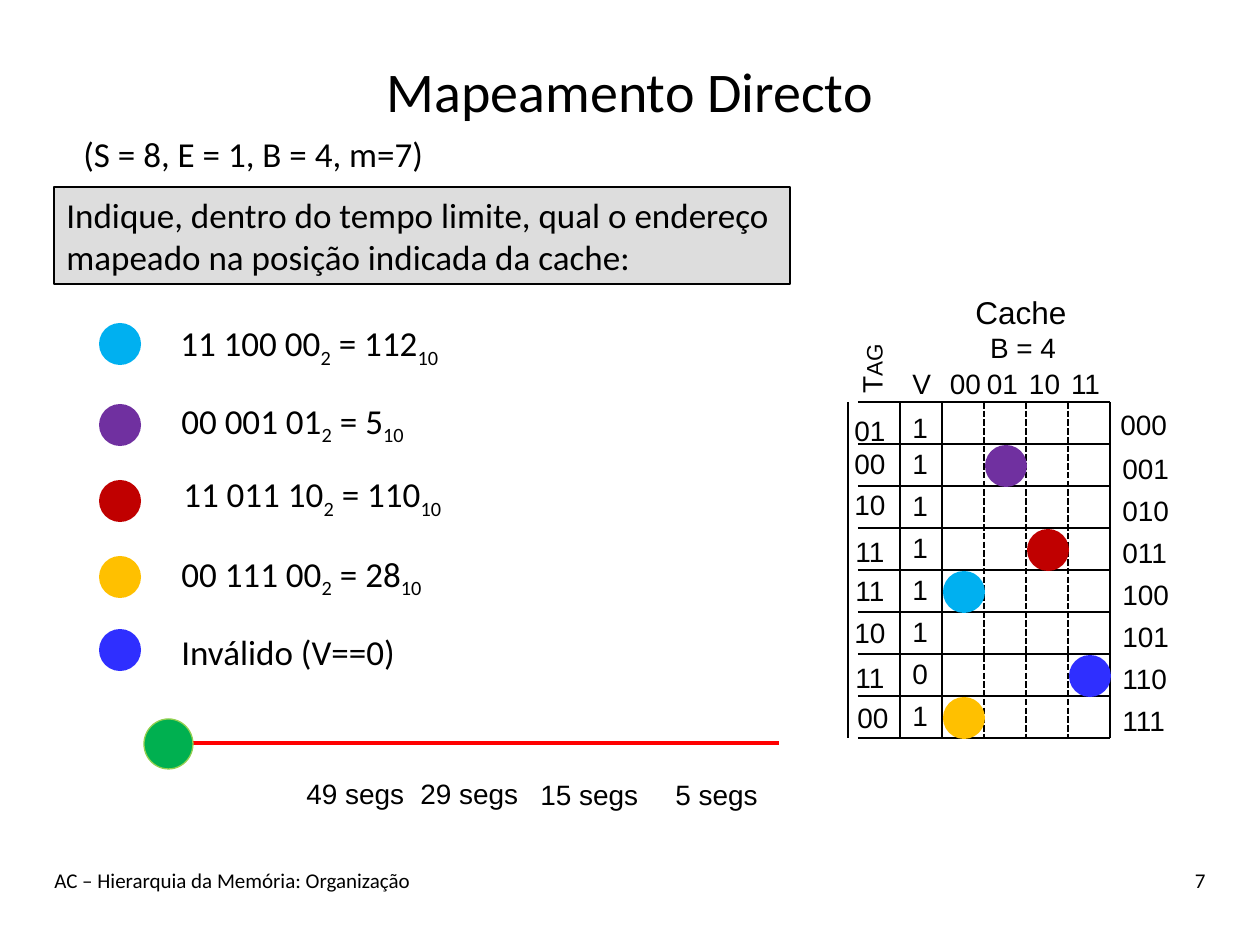
"""Build the direct-mapping cache exercise slide."""
import pptx
import pptx.dml.color
import pptx.enum.dml
import pptx.enum.shapes
import pptx.enum.text
import pptx.util
from lxml import etree

PX = 914400 // 126
BLACK = "000000"
ALIGN = pptx.enum.text.PP_ALIGN
OVAL = pptx.enum.shapes.MSO_SHAPE.OVAL
RECTANGLE = pptx.enum.shapes.MSO_SHAPE.RECTANGLE
SUBSCRIPT = "-25000"

TITLE = "Mapeamento Directo"
PARAMETERS = "(S = 8, E = 1, B = 4, m=7)"
QUESTION = "Indique, dentro do tempo limite, qual o endereço mapeado na posição indicada da cache:"
FOOTER = "AC – Hierarquia da Memória: Organização"
PAGE_NUMBER = "7"

# fields: colour, (row, column) in the cache, dot top, label left, top and width, label parts
ANSWERS = [
    ("00B0F0", (4, 0), 323, (168, 315, 290), ["11 100 00", "2", " = 112", "10"]),
    ("7030A0", (1, 1), 404, (169, 393, 260), ["00 001 01", "2", " = 5", "10"]),
    ("C00000", (3, 2), 480, (171, 466, 290), ["11 011 10", "2", " = 110", "10"]),
    ("FFC000", (7, 0), 556, (169, 546, 272), ["00 111 00", "2", " = 28", "10"]),
    ("2F2FFF", (6, 3), 629, (169, 624, 241), ["Inválido (V==0)"]),
]
# fields: tag, tag left and top, valid bit, valid bit top
CACHE_ROWS = [
    ("01", 842, 407, "1", 404),
    ("00", 842, 440, "1", 440),
    ("10", 842, 481, "1", 482),
    ("11", 843, 528, "1", 524),
    ("11", 843, 567, "1", 566),
    ("10", 842, 609, "1", 608),
    ("11", 843, 654, "0", 650),
    ("00", 845, 694, "1", 692),
]
OFFSETS = [("00", 937), ("01", 974), ("10", 1016), ("11", 1057)]
TIMES = [("49 segs", 294, 770, 125), ("29 segs", 408, 770, 125),
         ("15 segs", 528, 771, 125), ("5 segs", 663, 771, 108)]

CELL = 42
GRID_LEFT, GRID_TOP = 858, 402
GRID_RIGHT, GRID_BOTTOM = 1110, GRID_TOP + CELL * len(CACHE_ROWS)
BLOCK_LEFT = 942
# fields: x, width in points, dashed
COLUMN_LINES = [(848, 0.75, False), (900, 0.75, False), (BLOCK_LEFT, 1.5, False)]
COLUMN_LINES += [(BLOCK_LEFT + CELL * i, 1.25, True) for i in (1, 2, 3)]
COLUMN_LINES += [(GRID_RIGHT, 0.75, False)]


def colour(value):
    return pptx.dml.color.RGBColor.from_string(value)


def emu(*lengths):
    return [length * PX for length in lengths]


def write(frame, parts, size=16, font="Arial", align=ALIGN.LEFT, wrap=False,
          anchor=pptx.enum.text.MSO_ANCHOR.TOP, small_caps=False):
    frame.word_wrap = wrap
    frame.vertical_anchor = anchor
    para = frame.paragraphs[0]
    para.alignment = align
    for index, part in enumerate([parts] if isinstance(parts, str) else parts):
        span = para.add_run()
        span.text = part
        span.font.size = pptx.util.Pt(size)
        span.font.name = font
        span.font.color.rgb = colour(BLACK)
        properties = span._r.get_or_add_rPr()
        if index % 2:
            properties.set("baseline", SUBSCRIPT)
        if small_caps:
            properties.set("cap", "small")


def add_text(page, parts, left, top, width, height=47, rotation=0, **style):
    box = page.shapes.add_textbox(*emu(left, top, width, height))
    box.rotation = rotation
    write(box.text_frame, parts, **style)


def add_figure(page, kind, left, top, width, height, fill, line=None):
    figure = page.shapes.add_shape(kind, *emu(left, top, width, height))
    figure.shadow.inherit = False
    figure.fill.solid()
    figure.fill.fore_color.rgb = colour(fill)
    if line:
        figure.line.color.rgb = colour(line)
        figure.line.width = pptx.util.Pt(0.75)
    else:
        figure.line.fill.background()
    return figure


def add_line(page, x1, y1, x2, y2, width=0.75, ink=BLACK, dashed=False):
    line = page.shapes.add_connector(
        pptx.enum.shapes.MSO_CONNECTOR.STRAIGHT, *emu(x1, y1, x2, y2))
    line.line.color.rgb = colour(ink)
    line.line.width = pptx.util.Pt(width)
    if dashed:
        line.line.dash_style = pptx.enum.dml.MSO_LINE.SQUARE_DOT
    etree.SubElement(line._element.spPr, pptx.oxml.ns.qn("a:effectLst"))


def add_cache(page):
    for x, width, dashed in COLUMN_LINES:
        add_line(page, x, GRID_TOP, x, GRID_BOTTOM, width, dashed=dashed)
    for y in range(GRID_TOP, GRID_BOTTOM + 1, CELL):
        add_line(page, GRID_LEFT, y, GRID_RIGHT, y)
    add_text(page, "Cache", 963, 287, 116, 50, size=18, align=ALIGN.CENTER)
    add_text(page, "B = 4", 977, 324, 92, align=ALIGN.CENTER)
    add_text(page, "Tag", 834, 344, 76, rotation=270, small_caps=True)
    add_text(page, "V", 900, 360, 45)
    for offset, left in OFFSETS:
        add_text(page, offset, left, 360, 57, align=ALIGN.CENTER)
    for row, (tag, tag_left, tag_top, valid, valid_top) in enumerate(CACHE_ROWS):
        add_text(page, tag, tag_left, tag_top, 57)
        add_text(page, valid, 900, valid_top, 42)
        index_left, index_top = (1110, GRID_TOP + 1 + CELL * row) if row else (1108, 401)
        add_text(page, format(row, "03b"), index_left, index_top, 72)


def add_answers(page):
    for fill, (row, column), dot_top, (left, top, width), parts in ANSWERS:
        add_figure(page, OVAL, BLOCK_LEFT + 1 + CELL * column,
                   GRID_TOP + 1 + CELL * row, CELL, CELL, fill)
        add_figure(page, OVAL, 99, dot_top, CELL, CELL, fill)
        add_text(page, parts, left, top, width, 55, size=20, font="Calibri")


def add_timer(page):
    add_line(page, 164, 743, 779, 743, 2.25, "FF0000")
    add_figure(page, OVAL, 144, 719, 49, 50, "00B050", "92D050")
    for label, left, top, width in TIMES:
        add_text(page, label, left, top, width)


def main():
    deck = pptx.Presentation()
    deck.slide_width, deck.slide_height = emu(1260, 945)
    page = deck.slides.add_slide(deck.slide_layouts[6])
    add_text(page, TITLE, 42, 32, 1176, 116, size=32, font="Calibri", wrap=True,
             align=ALIGN.CENTER, anchor=pptx.enum.text.MSO_ANCHOR.MIDDLE)
    add_text(page, PARAMETERS, 71, 126, 369, 55, size=20, font="Calibri")
    add_text(page, FOOTER, 42, 861, 882, 63, size=12, font="Calibri", wrap=True)
    add_text(page, PAGE_NUMBER, 1050, 861, 168, 63, size=12, font="Calibri",
             wrap=True, align=ALIGN.RIGHT)
    question = add_figure(page, RECTANGLE, 54, 187, 736, 97, "DDDDDD", BLACK)
    write(question.text_frame, QUESTION, size=20, font="Calibri", wrap=True)
    add_cache(page)
    add_answers(page)
    add_timer(page)
    deck.save("out.pptx")


if __name__ == "__main__":
    main()
